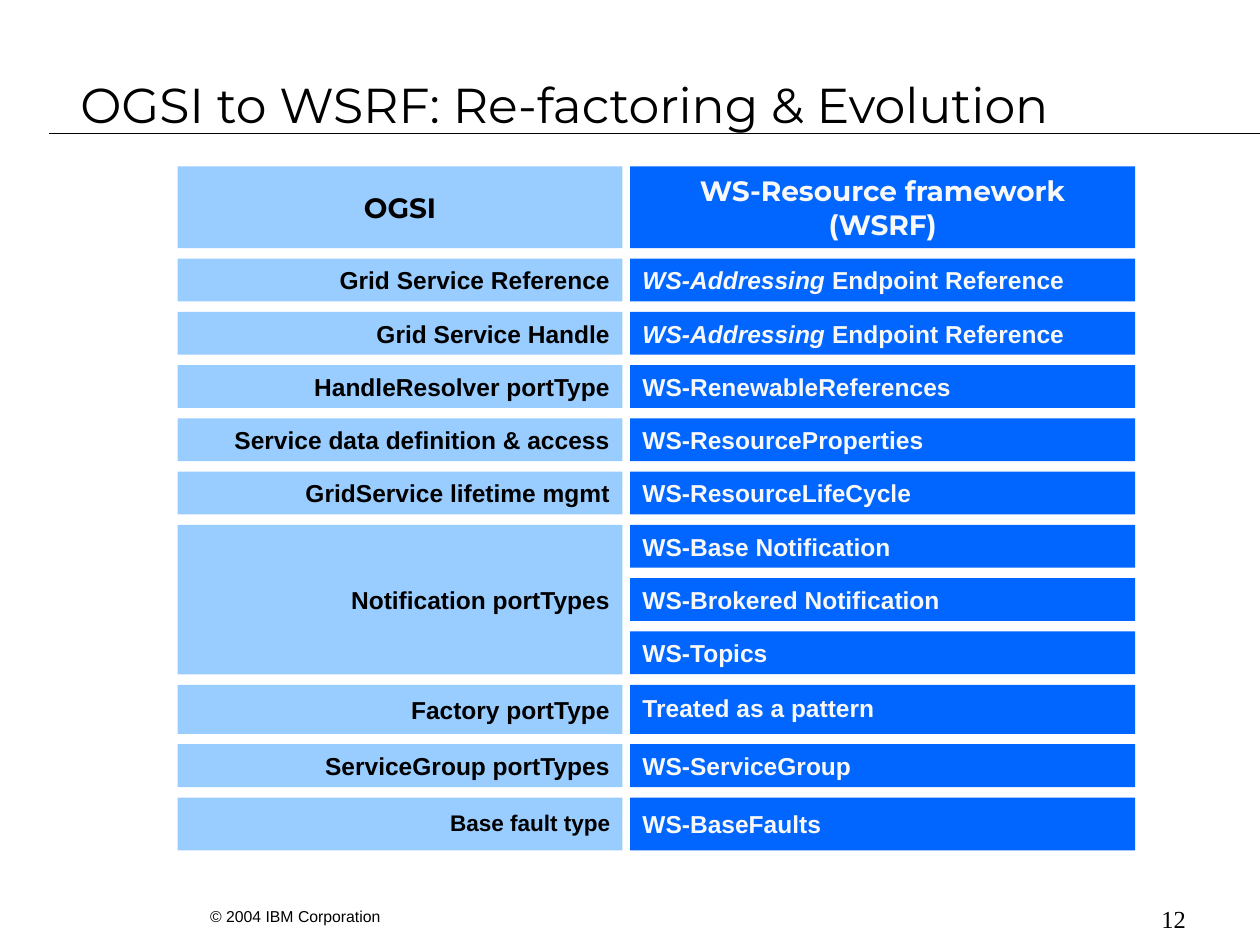
from lxml import etree
from pptx import Presentation
from pptx.dml.color import RGBColor
from pptx.enum.shapes import MSO_CONNECTOR, MSO_SHAPE
from pptx.enum.text import MSO_ANCHOR, PP_ALIGN
from pptx.oxml.ns import qn
from pptx.util import Inches, Pt

RECTANGLE = MSO_SHAPE.RECTANGLE
STRAIGHT = MSO_CONNECTOR.STRAIGHT
MIDDLE = MSO_ANCHOR.MIDDLE
LEFT, CENTER, RIGHT = PP_ALIGN.LEFT, PP_ALIGN.CENTER, PP_ALIGN.RIGHT

COLORS = {"ink": "000000", "paper": "F8F8F8", "ogsi": "99CCFF", "wsrf": "0066FF"}

TITLE = "OGSI to WSRF: Re-factoring & Evolution"
COPYRIGHT = "© 2004 IBM Corporation"
PAGE = "12"

ENDPOINT = [("WS-Addressing", True), (" Endpoint Reference", False)]
ROWS = [
    (0.65, "OGSI", "WS-Resource framework (WSRF)"),
    (0.34, "Grid Service Reference", ENDPOINT),
    (0.34, "Grid Service Handle", ENDPOINT),
    (0.34, "HandleResolver portType", "WS-RenewableReferences"),
    (0.34, "Service data definition & access", "WS-ResourceProperties"),
    (0.34, "GridService lifetime mgmt", "WS-ResourceLifeCycle"),
    (0.34, "Notification portTypes", "WS-Base Notification"),
    (0.34, None, "WS-Brokered Notification"),
    (0.34, None, "WS-Topics"),
    (0.39, "Factory portType", "Treated as a pattern"),
    (0.34, "ServiceGroup portTypes", "WS-ServiceGroup"),
    (0.42, "Base fault type", "WS-BaseFaults"),
]
ROW_SPANS = {"Notification portTypes": 3}
COLUMNS = [
    {"left": 1.41, "width": 3.53, "fill": "ogsi", "ink": "ink", "align": RIGHT},
    {"left": 5.0, "width": 4.01, "fill": "wsrf", "ink": "paper", "align": LEFT},
]
GRID_TOP, GRID_BOTTOM = 1.32, 6.75

HEADING = {"name": "Montserrat", "size": Pt(16), "bold": True}
ENTRY = {"name": "Arial", "size": Pt(14), "bold": True}
SPECIAL_FONTS = {"Base fault type": {**ENTRY, "size": Pt(12.9)}}
SPECIAL_PARAGRAPHS = {
    "Base fault type": {"line_spacing": 0.9},
    "Treated as a pattern": {"line_spacing": 0.9},
}

LABELS = [
    (TITLE, (0.54, 0.41, 9.05, 0.83), LEFT, {"name": "Montserrat", "size": Pt(28)}),
    (COPYRIGHT, (1.57, 7.15, 1.69, 0.25), LEFT, {"name": "Arial", "size": Pt(9)}),
    (PAGE, (8.56, 7.17, 0.95, 0.24), RIGHT, {"name": "Times New Roman", "size": Pt(14)}),
]


def color(key):
    return RGBColor.from_string(COLORS[key])


def apply(target, values):
    for attribute, value in values.items():
        setattr(target, attribute, value)


def write(holder, content, ink, font, paragraph_format):
    frame = holder.text_frame
    apply(frame, {"word_wrap": True, "vertical_anchor": MIDDLE})
    paragraph = frame.paragraphs[0]
    apply(paragraph, paragraph_format)
    pieces = [(content, False)] if isinstance(content, str) else content
    for words, italic in pieces:
        run = paragraph.add_run()
        run.text = words
        apply(run.font, {**font, "italic": italic})
        run.font.color.rgb = color(ink)


def add_cell(slide, column, top, height, content, is_heading):
    cell = slide.shapes.add_shape(
        RECTANGLE, *map(Inches, (column["left"], top, column["width"], height))
    )
    cell.shadow.inherit = False
    cell.fill.solid()
    cell.fill.fore_color.rgb = color(column["fill"])
    cell.line.fill.background()
    key = content if isinstance(content, str) else ""
    font = HEADING if is_heading else SPECIAL_FONTS.get(key, ENTRY)
    paragraph_format = {
        "alignment": CENTER if is_heading else column["align"],
        "space_after": Pt(4 if is_heading else 3.5),
        **SPECIAL_PARAGRAPHS.get(key, {}),
    }
    write(cell, content, column["ink"], font, paragraph_format)


def add_grid(slide):
    heights = [row[0] for row in ROWS]
    gap = (GRID_BOTTOM - GRID_TOP - sum(heights)) / (len(ROWS) - 1)
    top = GRID_TOP
    for index, (height, *contents) in enumerate(ROWS):
        for column, content in zip(COLUMNS, contents):
            if content is None:
                continue
            span = ROW_SPANS.get(content, 1) if isinstance(content, str) else 1
            full_height = sum(heights[index:index + span]) + gap * (span - 1)
            add_cell(slide, column, top, full_height, content, index == 0)
        top += height + gap


def main():
    deck = Presentation()
    deck.slide_width, deck.slide_height = Inches(10), Inches(7.5)
    slide = deck.slides.add_slide(deck.slide_layouts[6])

    rule = slide.shapes.add_connector(STRAIGHT, *map(Inches, (0.39, 1.06, 10, 1.06)))
    rule.line.color.rgb = color("ink")
    rule.line.width = Pt(0.75)
    etree.SubElement(rule._element.spPr, qn("a:effectLst"))

    for words, place, align, font in LABELS:
        label = slide.shapes.add_textbox(*map(Inches, place))
        write(label, words, "ink", font, {"alignment": align})

    add_grid(slide)
    deck.save("out.pptx")


if __name__ == "__main__":
    main()
